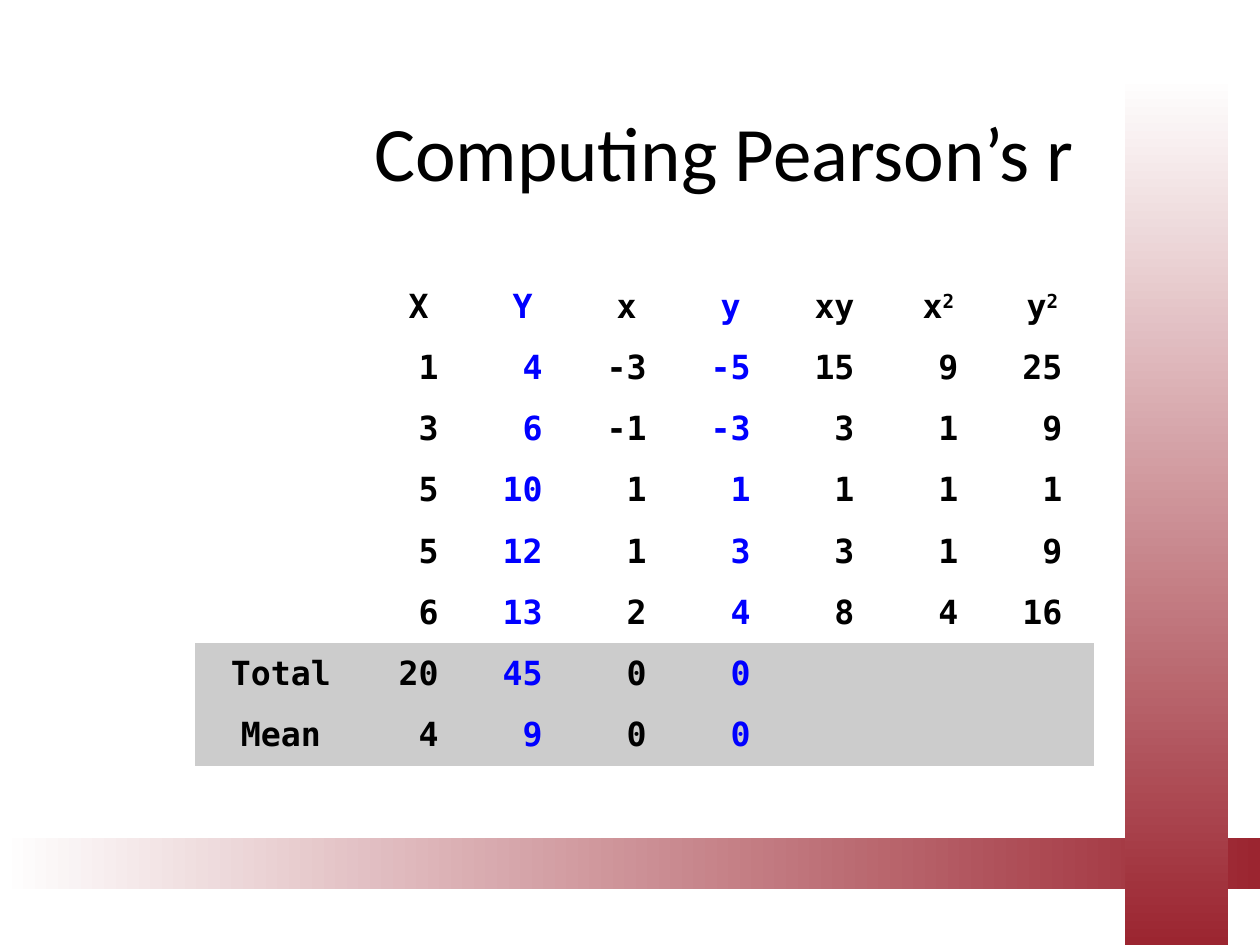
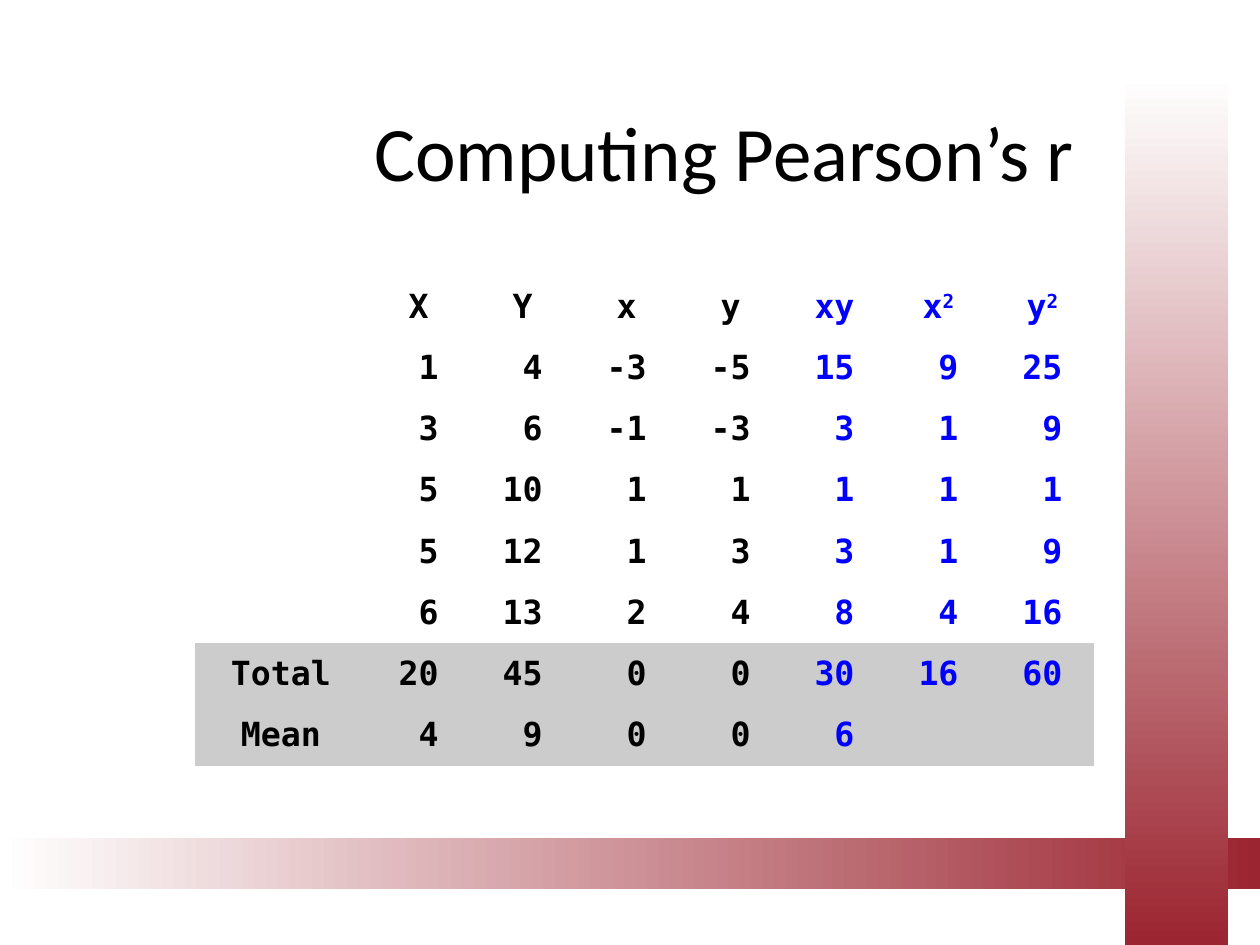
"""Build two slides that work through the sums behind Pearson's r."""
import pptx
import pptx.dml.color
import pptx.enum.shapes
import pptx.enum.text
import pptx.oxml.ns
import pptx.util

Pt = pptx.util.Pt
RGBColor = pptx.dml.color.RGBColor
MIDDLE = pptx.enum.text.MSO_ANCHOR.MIDDLE
CENTER = pptx.enum.text.PP_ALIGN.CENTER

WHITE = RGBColor(0xFF, 0xFF, 0xFF)
BLACK = RGBColor(0x00, 0x00, 0x00)
CRIMSON = RGBColor(0x9B, 0x25, 0x30)
BLUE = RGBColor(0x00, 0x00, 0xFF)
GREY = RGBColor(0xCC, 0xCC, 0xCC)

TITLE_FONT = "Calibri"
TABLE_FONT = "DejaVu Sans Mono"
NO_STYLE_TABLE = "{2D5ABB26-0587-4C30-8999-92F81FD0307C}"
NO_BREAK_SPACE = chr(160)

SLIDE_WIDTH, SLIDE_HEIGHT = 720, 540
LABEL_WIDTH, VALUE_WIDTH, ROW_HEIGHT = 98, 59.44, 35

TITLE = "Computing Pearson’s r"
HEADINGS = ["", "X", "Y", "x", "y", "xy", "x^2", "y^2"]
OBSERVATIONS = [
    ["", 1, 4, -3, -5, 15, 9, 25],
    ["", 3, 6, -1, -3, 3, 1, 9],
    ["", 5, 10, 1, 1, 1, 1, 1],
    ["", 5, 12, 1, 3, 3, 1, 9],
    ["", 6, 13, 2, 4, 8, 4, 16],
]
TOTALS = ["Total", 20, 45, 0, 0]
MEANS = ["Mean", 4, 9, 0, 0]


def add_band(slide, left, top, width, height, start, angle):
    """Add a rectangle that fades from white to crimson."""
    band = slide.shapes.add_shape(
        pptx.enum.shapes.MSO_SHAPE.RECTANGLE, Pt(left), Pt(top), Pt(width), Pt(height))
    band.shadow.inherit = False
    band.line.fill.background()
    band.fill.gradient()
    band.fill.gradient_angle = angle
    stops = zip(band.fill.gradient_stops, (start, 1), (WHITE, CRIMSON))
    for stop, position, color in stops:
        stop.position = position
        stop.color.rgb = color


def format_run(run, font_name, size, color, bold=False):
    """Set the typeface, size, colour and weight of a run."""
    run.font.name = font_name
    run.font.size = Pt(size)
    run.font.color.rgb = color
    run.font.bold = bold


def add_title(slide, text):
    """Add the centred slide title."""
    box = slide.shapes.add_textbox(Pt(108), Pt(46), Pt(612), Pt(80))
    text_frame = box.text_frame
    text_frame.word_wrap = True
    text_frame.vertical_anchor = MIDDLE
    text_frame.text = text
    paragraph = text_frame.paragraphs[0]
    paragraph.alignment = CENTER
    format_run(paragraph.runs[0], TITLE_FONT, 44, BLACK)


def fill_cell(cell, value, color):
    """Write a value, aligning single digits and raising any exponent."""
    cell.vertical_anchor = MIDDLE
    cell.margin_left = cell.margin_right = Pt(10)
    cell.margin_top = cell.margin_bottom = Pt(5)
    if value == "":
        return
    text = str(value).rjust(2, NO_BREAK_SPACE) if isinstance(value, int) else value
    base, _, exponent = text.partition("^")
    cell.text_frame.text = base
    paragraph = cell.text_frame.paragraphs[0]
    paragraph.alignment = CENTER
    if exponent:
        raised = paragraph.add_run()
        raised.text = exponent
        raised.font._element.set("baseline", "30000")
    for run in paragraph.runs:
        format_run(run, TABLE_FONT, 19, color, bold=True)


def add_sums_table(slide, rows, blue_columns):
    """Add the table of sums with shaded total and mean rows."""
    column_count = len(HEADINGS)
    width = LABEL_WIDTH + VALUE_WIDTH * (column_count - 1)
    frame = slide.shapes.add_table(
        len(rows), column_count, Pt(111.5), Pt(157.75), Pt(width), Pt(ROW_HEIGHT * len(rows)))
    table = frame.table
    table.first_row = table.horz_banding = False
    style = table._tbl.tblPr.find(pptx.oxml.ns.qn("a:tableStyleId"))
    style.text = NO_STYLE_TABLE
    for index, column in enumerate(table.columns):
        column.width = Pt(VALUE_WIDTH if index else LABEL_WIDTH)
    for row_index, values in enumerate(rows):
        table.rows[row_index].height = Pt(ROW_HEIGHT)
        for column_index, value in enumerate(values):
            cell = table.cell(row_index, column_index)
            if values[0]:
                cell.fill.solid()
                cell.fill.fore_color.rgb = GREY
            else:
                cell.fill.background()
            fill_cell(cell, value, BLUE if column_index in blue_columns else BLACK)


def add_pearson_slide(presentation, product_totals, product_means, blue_columns):
    """Add one step of the computation on a banded slide."""
    slide = presentation.slides.add_slide(presentation.slide_layouts[6])
    add_band(slide, 0, 479, SLIDE_WIDTH, 29, 0, 0)
    add_band(slide, 643, 0, 59, SLIDE_HEIGHT, 0.08, 270)
    add_title(slide, TITLE)
    rows = [HEADINGS, *OBSERVATIONS, TOTALS + product_totals, MEANS + product_means]
    add_sums_table(slide, rows, blue_columns)


def main():
    """Build and save the presentation."""
    presentation = pptx.Presentation()
    presentation.slide_width = Pt(SLIDE_WIDTH)
    presentation.slide_height = Pt(SLIDE_HEIGHT)
    add_pearson_slide(presentation, ["", "", ""], ["", "", ""], {2, 4})
    add_pearson_slide(presentation, [30, 16, 60], [6, "", ""], {5, 6, 7})
    presentation.save("out.pptx")


if __name__ == "__main__":
    main()
